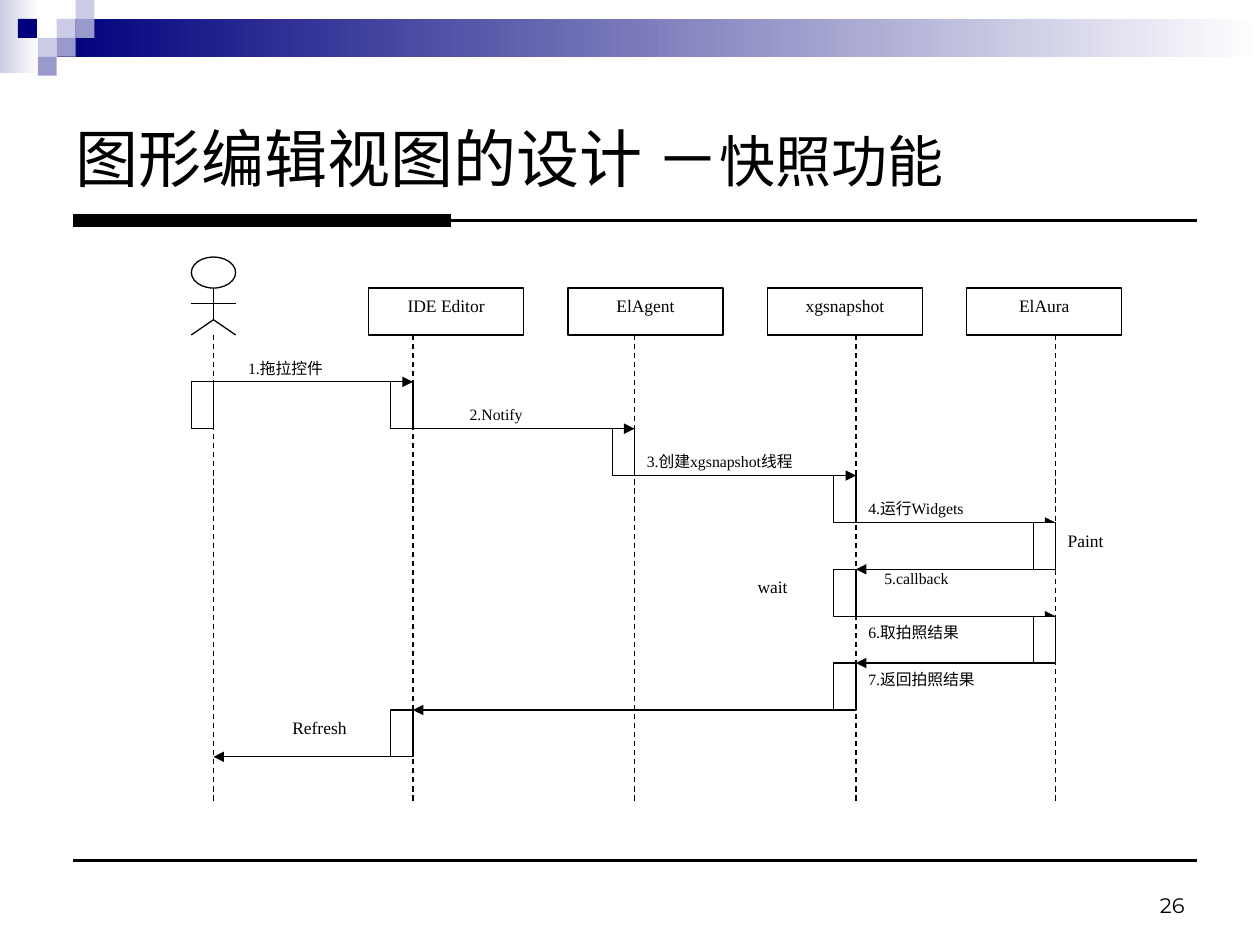
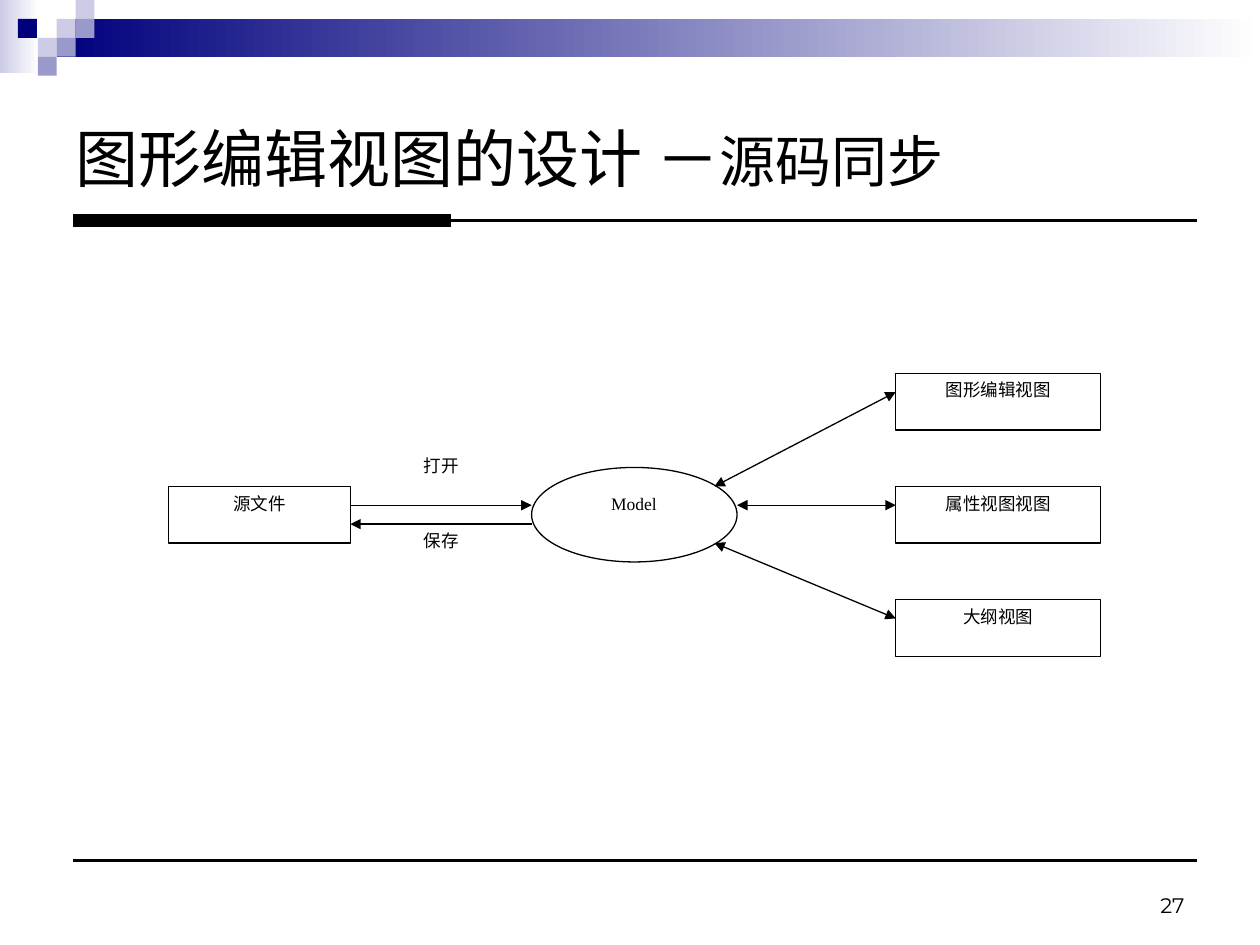
"""Build two design slides: a snapshot sequence diagram and a source synchronisation diagram."""
from lxml import etree
from pptx import Presentation
from pptx import util as u
from pptx.dml.color import RGBColor
from pptx.enum import dml, shapes, text
from pptx.oxml import ns

BLACK = RGBColor(0x00, 0x00, 0x00)
WHITE = RGBColor(0xFF, 0xFF, 0xFF)
NAVY = RGBColor(0x00, 0x00, 0x7D)
LAVENDER = RGBColor(0xCC, 0xCC, 0xE6)
VIOLET = RGBColor(0x99, 0x99, 0xCC)

Pt = u.Pt
RECTANGLE = shapes.MSO_SHAPE.RECTANGLE
OVAL = shapes.MSO_SHAPE.OVAL
LEFT, CENTER, RIGHT, JUSTIFY = (text.PP_ALIGN.LEFT, text.PP_ALIGN.CENTER,
                                text.PP_ALIGN.RIGHT, text.PP_ALIGN.JUSTIFY)
TOP, MIDDLE, BOTTOM = (text.MSO_ANCHOR.TOP, text.MSO_ANCHOR.MIDDLE,
                       text.MSO_ANCHOR.BOTTOM)
SERIF = "Times New Roman"
TILE = 10.8
TILES = [(3, 1, LAVENDER), (4, 0, LAVENDER), (4, 1, VIOLET), (2, 2, LAVENDER),
         (0.95, 1, NAVY), (3, 2, VIOLET), (2, 3, VIOLET)]
RULES = [(126, 684, 1.5), (491.8, 684, 1.5), (126, 258, 8)]


def apply(target, **values):
    """Set every given attribute on the target."""
    for name, value in values.items():
        setattr(target, name, value)


class Deck:
    """Hold the shared style and the current slide."""

    def __init__(self):
        """Start a ten by seven and a half inch presentation."""
        self.presentation = Presentation()
        apply(self.presentation, slide_width=Pt(720), slide_height=Pt(540))
        self.slide = None

    def new_slide(self, title, subtitle, number):
        """Add a slide with bands, title, rules and page number."""
        layout = self.presentation.slide_layouts[5]
        self.slide = self.presentation.slides.add_slide(layout)
        self.band(0, 0, 22.3, 41.8, LAVENDER)
        self.band(32.4, TILE, 687.6, 2 * TILE, NAVY)
        for column, row, color in TILES:
            self.box(column * TILE, row * TILE, TILE, TILE, fill=color, line=None)
        heading = self.slide.shapes.title
        apply(heading, left=Pt(36), top=Pt(36), width=Pt(648), height=Pt(108))
        self.fill_text(heading, [(title, 36), (subtitle, 32)], LEFT, MIDDLE, "Arial")
        for y, end, weight in RULES:
            self.line((42, y), (end, y), weight)
        self.label(number, 516.2, 491.8, 167.8, 36, 12, RIGHT, BOTTOM, "Montserrat")

    def fill_text(self, shape, runs, align, anchor=TOP, font=SERIF, spacing=1.0):
        """Fill a shape with one paragraph of sized runs."""
        apply(shape.text_frame, word_wrap=True, vertical_anchor=anchor,
              auto_size=text.MSO_AUTO_SIZE.NONE)
        paragraph = shape.text_frame.paragraphs[0]
        apply(paragraph, alignment=align, line_spacing=spacing)
        for words, size in runs:
            run = paragraph.add_run()
            run.text = words
            apply(run.font, name=font, size=Pt(size))
            run.font.color.rgb = BLACK

    def box(self, left, top, width, height, words=None, kind=RECTANGLE,
            fill=WHITE, line=BLACK, spacing=1.0):
        """Add a flat preset shape, with centred text if given."""
        shape = self.slide.shapes.add_shape(kind, Pt(left), Pt(top), Pt(width), Pt(height))
        shape.shadow.inherit = False
        shape.fill.solid()
        shape.fill.fore_color.rgb = fill
        if line is None:
            shape.line.fill.background()
        else:
            shape.line.color.rgb = line
            shape.line.width = Pt(0.75)
        if words:
            self.fill_text(shape, [(words, 10)], CENTER, spacing=spacing)
        return shape

    def band(self, left, top, width, height, color):
        """Add a band that fades to white on the right."""
        shape = self.box(left, top, width, height, line=None)
        shape.fill.gradient()
        shape.fill.gradient_angle = 180
        for stop, tone in zip(shape.fill.gradient_stops, (WHITE, color)):
            stop.color.rgb = tone

    def label(self, words, left, top, width, height, size=10, align=CENTER,
              anchor=TOP, font=SERIF, spacing=1.0):
        """Add a text box."""
        shape = self.slide.shapes.add_textbox(Pt(left), Pt(top), Pt(width), Pt(height))
        self.fill_text(shape, [(words, size)], align, anchor, font, spacing)

    def line(self, start, end, weight=0.75, dashed=False, arrows=()):
        """Add a straight line with optional arrowheads."""
        points = [Pt(value) for value in (*start, *end)]
        connector = self.slide.shapes.add_connector(shapes.MSO_CONNECTOR.STRAIGHT, *points)
        connector.line.color.rgb = BLACK
        connector.line.width = Pt(weight)
        if dashed:
            connector.line.dash_style = dml.MSO_LINE.DASH
        properties = connector._element.spPr
        outline = properties.find(ns.qn("a:ln"))
        for arrow in arrows:
            etree.SubElement(outline, ns.qn(f"a:{arrow}"), type="triangle")
        etree.SubElement(properties, ns.qn("a:effectLst"))


UNIT = 12.66
ROW = 26.79
LIFELINES = [0, 9, 19, 29, 38]
PARTICIPANTS = ["IDE Editor", "ElAgent", "xgsnapshot", "ElAura"]
ACTIVATIONS = [(0, 1), (1, 1), (2, 2), (3, 3), (3, 5), (3, 7), (1, 8)]
FRONT_ACTIVATIONS = [(4, 4), (4, 6)]
MESSAGES = [(0, 1, 1), (1, 2, 2), (2, 3, 3), (3, 4, 4), (4, 3, 5),
            (3, 4, 6), (4, 3, 7), (3, 1, 8), (1, 0, 9)]
MESSAGE_LABELS = [("1.拖拉控件", 1, 0.35, 9), ("2.Notify", 11, 1.35, 9),
                  ("3.创建xgsnapshot线程", 19, 2.35, 9), ("4.运行Widgets", 29, 3.35, 9),
                  ("5.callback", 29.72, 4.84, 9), ("6.取拍照结果", 29, 6, 9),
                  ("7.返回拍照结果", 29, 7, 9), ("Paint", 38, 4, 10),
                  ("wait", 24, 5, 10), ("Refresh", 3, 8, 10)]


def across(units):
    """Return the x of a grid column on the sequence diagram."""
    return 122 + units * UNIT


def down(rows):
    """Return the y of a row on the sequence diagram."""
    return 191.4 + rows * ROW


def draw_actor(deck):
    """Draw the stick figure above the first lifeline."""
    left, middle, right = across(-1), across(0), across(1)
    neck, arms, hips, feet = down(-1), 173.5, 182.7, down(0)
    deck.box(left, 146.9, 2 * UNIT, neck - 146.9, kind=OVAL)
    for start, end in [((left, arms), (right, arms)),
                       ((middle, neck), (middle, hips)),
                       ((middle, hips), (left, feet)),
                       ((middle, hips), (right, feet))]:
        deck.line(start, end)


def draw_activations(deck, activations):
    """Draw the bars that stand left of their lifelines."""
    for column, row in activations:
        deck.box(across(LIFELINES[column] - 1), down(row), UNIT, ROW)


def snapshot_slide(deck):
    """Draw the sequence diagram of the snapshot function."""
    deck.new_slide("图形编辑视图的设计 －", "快照功能", "26")
    for index, name in enumerate(PARTICIPANTS):
        deck.box(across(7 + 9 * index), down(-1), 7 * UNIT, ROW, name, spacing=1.04)
    draw_actor(deck)
    for units in LIFELINES:
        deck.line((across(units), down(0)), (across(units), down(10)), dashed=True)
    draw_activations(deck, ACTIVATIONS)
    for sender, receiver, row in MESSAGES:
        deck.line((across(LIFELINES[sender]), down(row)),
                  (across(LIFELINES[receiver]), down(row)), arrows=["tailEnd"])
    draw_activations(deck, FRONT_ACTIVATIONS)
    for words, units, row, size in MESSAGE_LABELS:
        deck.label(words, across(units), down(row), 10 * UNIT, ROW, size,
                   JUSTIFY, spacing=1.04)


def synchronisation_slide(deck):
    """Draw the model between the source file and its views."""
    deck.new_slide("图形编辑视图的设计 －", "源码同步", "27")
    height, middle = 32.4, 278
    file_left, file_right = 96.5, 200.2
    model_left, model_right = 303.8, 421.2
    view_left, view_step = 511.9, 64.7
    deck.box(file_left, middle, file_right - file_left, height, "源文件")
    deck.box(model_left, 267.1, model_right - model_left, 54, kind=OVAL)
    deck.label("Model", 316.8, middle, 91, height)

    views = ["图形编辑视图", "属性视图视图", "大纲视图"]
    model_ends = [(408.2, 278), (model_right, 288.7), (408.2, 310.3)]
    for index, (view, model_end) in enumerate(zip(views, model_ends)):
        top = middle + (index - 1) * view_step
        deck.box(view_left, top, 117, height, view)
        deck.line((view_left, top + 10.7), model_end, arrows=["headEnd", "tailEnd"])

    for start, end, y, words, top in [(file_right, model_left, 288.7, "打开", 256.3),
                                      (model_left, file_right, 299.5, "保存", 299.5)]:
        deck.line((start, y), (end, y), arrows=["tailEnd"])
        deck.label(words, 213.1, top, 77.8, height)


def main():
    """Build both slides and save the presentation."""
    deck = Deck()
    snapshot_slide(deck)
    synchronisation_slide(deck)
    deck.presentation.save("out.pptx")


if __name__ == "__main__":
    main()
